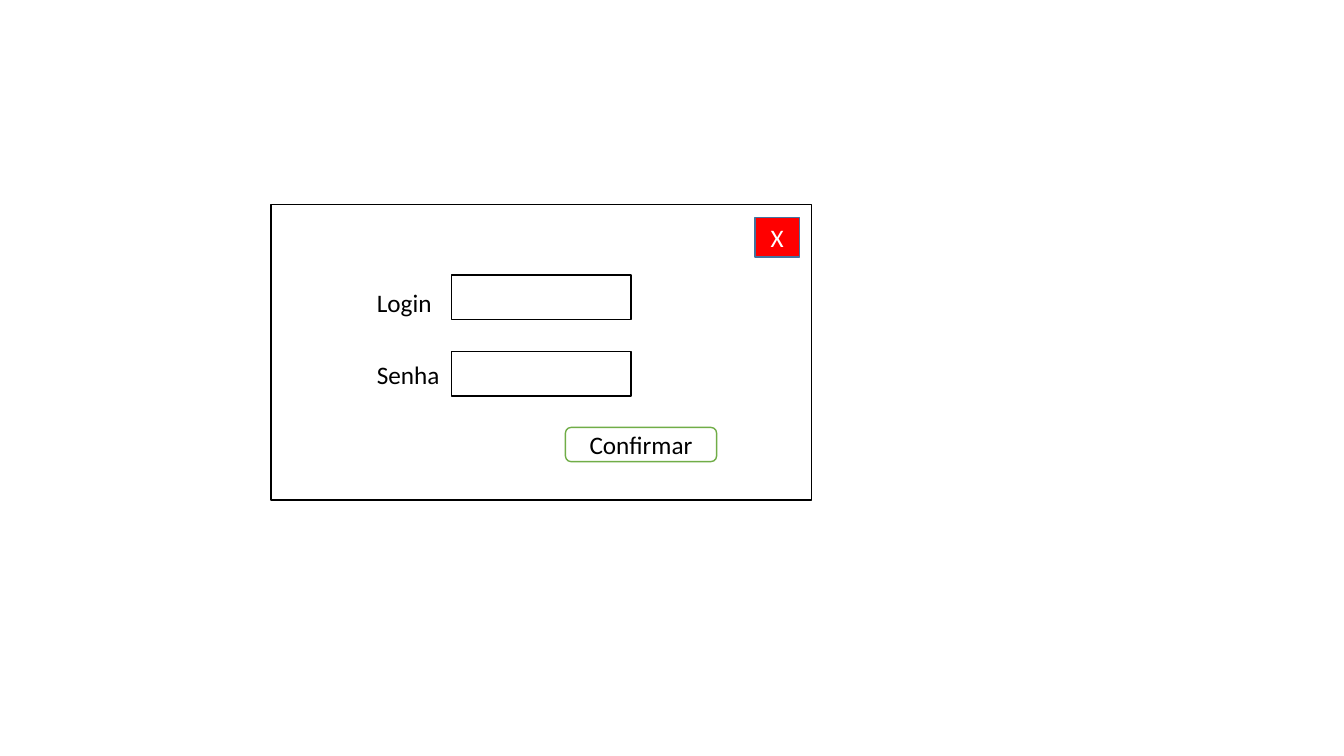
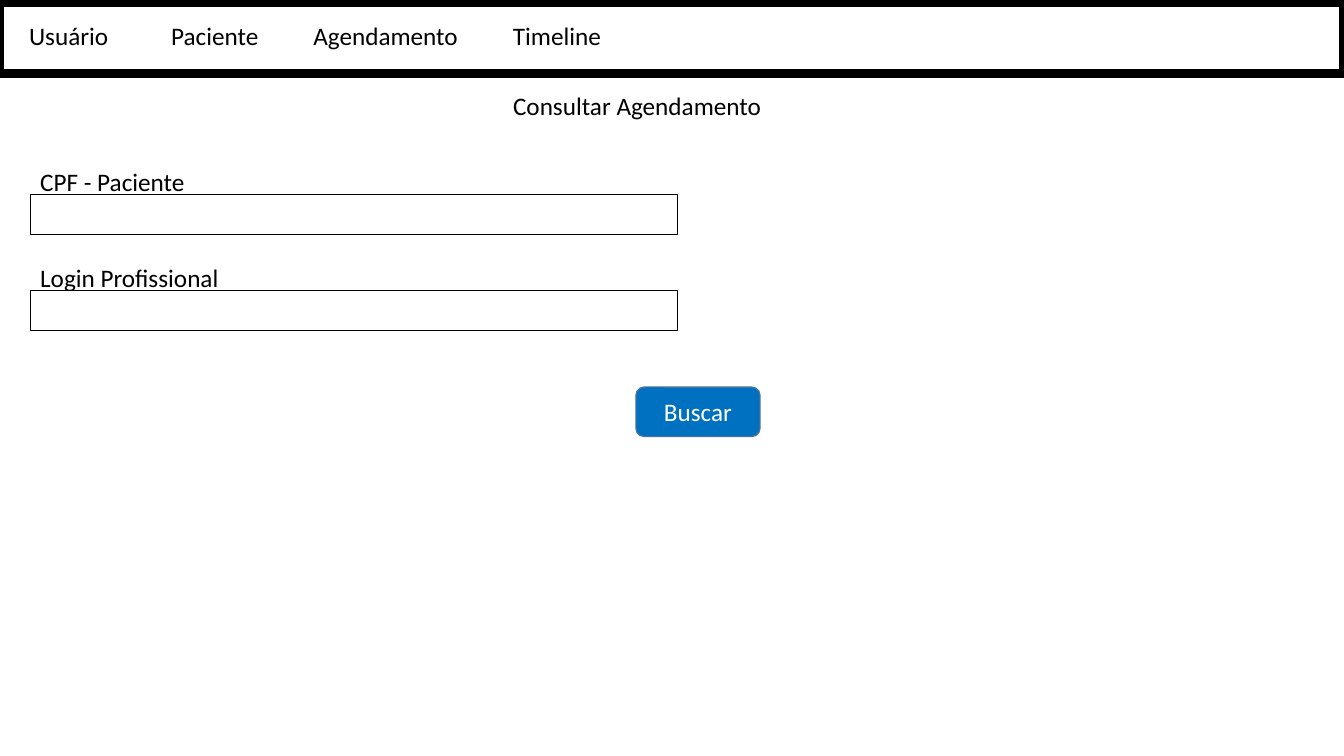
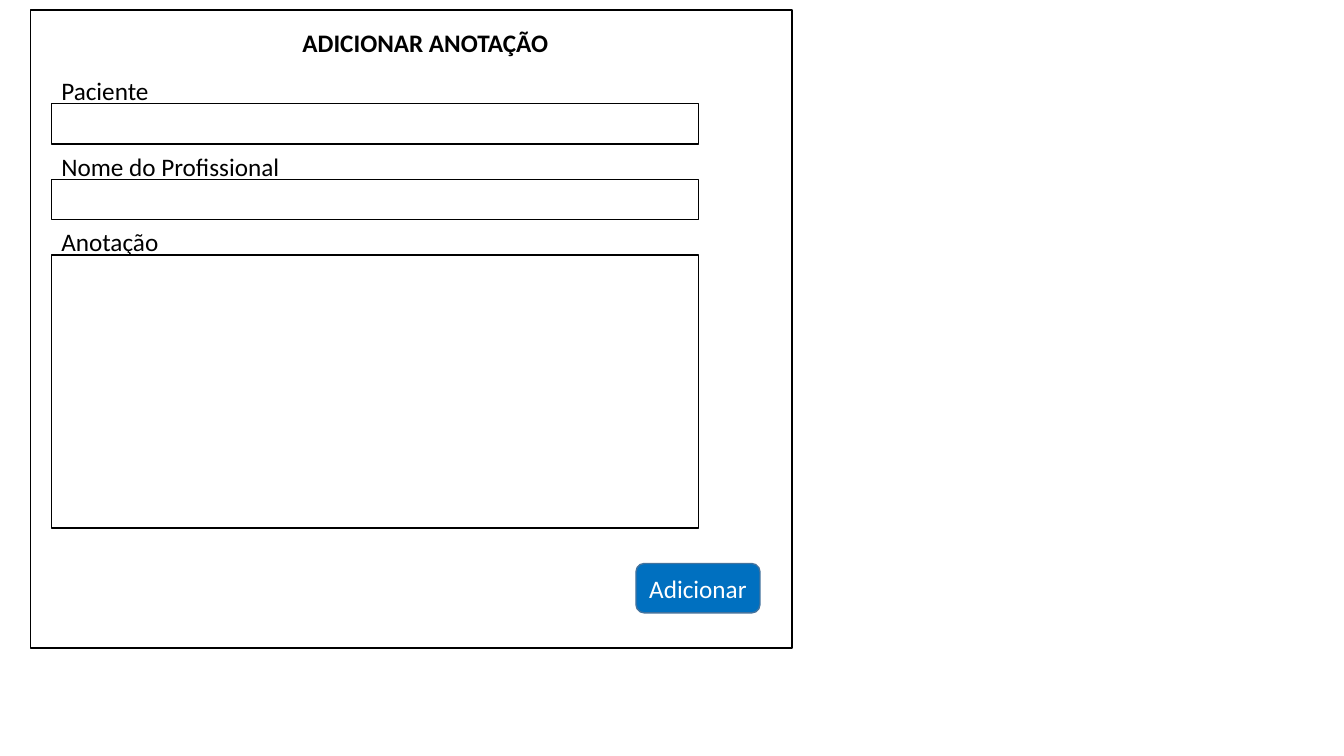
from dataclasses import dataclass

from pptx import Presentation
from pptx.dml.color import RGBColor
from pptx.enum.shapes import MSO_SHAPE as Preset
from pptx.enum.text import MSO_ANCHOR as Anchor, MSO_AUTO_SIZE as AutoSize, PP_ALIGN as Align
from pptx.util import Emu, Pt

PX = 9144  # one px is a hundredth of an inch
PAGE_W, PAGE_H = Emu(12192000), Emu(6858000)
TITLE_ONLY, BLANK = 5, 6

FONT, SIZE = "Calibri", Pt(18)
BLACK = RGBColor(0x00, 0x00, 0x00)
WHITE = RGBColor(0xFF, 0xFF, 0xFF)
RED = RGBColor(0xFF, 0x00, 0x00)
GREEN = RGBColor(0x70, 0xAD, 0x47)
BLUE = RGBColor(0x00, 0x70, 0xC0)
STEEL = RGBColor(0x43, 0x73, 0x9E)

LABEL_H = 40
LABEL_RISE = 33  # label top above its field
FIELD_W, FIELD_H = 642, 40


@dataclass(frozen=True)
class Box:
    left: int
    top: int
    width: int
    height: int


@dataclass(frozen=True)
class Label:
    text: str
    left: int
    top: int
    width: int


@dataclass(frozen=True)
class Field:
    label: str
    label_width: int
    height: int = FIELD_H


@dataclass(frozen=True)
class Button:
    text: str
    box: Box
    fill: RGBColor = BLUE
    line: RGBColor = STEEL
    color: RGBColor = WHITE
    preset: Preset = Preset.ROUNDED_RECTANGLE


MENU = (
    Label("Usuário", 19, 15, 99),
    Label("Paciente", 160, 15, 108),
    Label("Agendamento", 301, 15, 165),
    Label("Timeline", 499, 15, 109),
)


def place(shape, box: Box) -> None:
    shape.left, shape.top = Emu(box.left * PX), Emu(box.top * PX)
    shape.width, shape.height = Emu(box.width * PX), Emu(box.height * PX)


def write(shape, text: str, color: RGBColor = BLACK, bold: bool = False,
          align: Align = Align.LEFT, anchor: Anchor = Anchor.TOP) -> None:
    frame = shape.text_frame
    frame.text = text
    frame.vertical_anchor = anchor
    para = frame.paragraphs[0]
    para.alignment = align
    font = para.runs[0].font
    font.name, font.size, font.bold = FONT, SIZE, bold
    font.color.rgb = color


def fit_to_text(shape) -> None:
    shape.text_frame.word_wrap = False
    shape.text_frame.auto_size = AutoSize.SHAPE_TO_FIT_TEXT


def add_panel(page, box: Box, fill: RGBColor = WHITE, line: RGBColor = BLACK,
              weight: int = 1, preset: Preset = Preset.RECTANGLE):
    shape = page.shapes.add_shape(preset, 0, 0, 0, 0)
    place(shape, box)
    shape.shadow.inherit = False
    shape.fill.solid()
    shape.fill.fore_color.rgb = fill
    shape.line.color.rgb = line
    shape.line.width = Pt(weight)
    return shape


def add_label(page, label: Label) -> None:
    shape = page.shapes.add_textbox(0, 0, 0, 0)
    place(shape, Box(label.left, label.top, label.width, LABEL_H))
    write(shape, label.text)
    fit_to_text(shape)


def add_button(page, button: Button) -> None:
    shape = add_panel(page, button.box, button.fill, button.line, preset=button.preset)
    write(shape, button.text, button.color, align=Align.CENTER, anchor=Anchor.MIDDLE)


def add_form(page, left: int, top: int, pitch: int, fields: tuple[Field, ...]) -> None:
    """Stack labelled fields; each field overlaps the foot of its label."""
    for row, field in enumerate(fields):
        y = top + row * pitch
        add_label(page, Label(field.label, left, y - LABEL_RISE, field.label_width))
        add_panel(page, Box(left, y, FIELD_W, field.height))


def set_title(page, label: Label, bold: bool = False) -> None:
    title = page.shapes.title
    place(title, Box(label.left, label.top, label.width, LABEL_H))
    write(title, label.text, bold=bold)
    fit_to_text(title)
    page.shapes.element.append(title.element)  # in front of the panels


def add_page(deck, layout: int):
    return deck.slides.add_slide(deck.slide_layouts[layout])


def build_login(deck) -> None:
    page = add_page(deck, BLANK)
    add_panel(page, Box(269, 203, 536, 293))
    for top in (273, 349):
        add_panel(page, Box(448, top, 178, 44))
    add_label(page, Label("Login", 364, 280, 75))
    add_label(page, Label("Senha", 364, 352, 83))
    add_button(page, Button("Confirmar", Box(561, 424, 150, 34), WHITE, GREEN, BLACK))
    add_button(page, Button("X", Box(749, 216, 44, 39), RED, preset=Preset.RECTANGLE))


def build_search(deck) -> None:
    page = add_page(deck, TITLE_ONLY)
    # Menu bar
    add_panel(page, Box(0, 3, 1333, 70), weight=6)
    for item in MENU:
        add_label(page, item)
    # Search form
    set_title(page, Label("Consultar Agendamento", 499, 85, 269))
    add_form(page, 30, 193, 95, (Field("CPF - Paciente", 165),
                                 Field("Login Profissional", 199)))
    add_button(page, Button("Buscar", Box(631, 384, 123, 49)))


def build_note(deck) -> None:
    page = add_page(deck, TITLE_ONLY)
    add_panel(page, Box(30, 10, 756, 633))
    add_form(page, 51, 103, 75, (Field("Paciente", 108),
                                 Field("Nome do Profissional", 239),
                                 Field("Anotação", 117, 271)))
    add_button(page, Button("Adicionar", Box(631, 559, 123, 49)))
    set_title(page, Label("ADICIONAR ANOTAÇÃO", 290, 22, 266), bold=True)


def main() -> None:
    deck = Presentation()
    deck.slide_width, deck.slide_height = PAGE_W, PAGE_H
    for build in (build_login, build_search, build_note):
        build(deck)
    deck.save("out.pptx")


if __name__ == "__main__":
    main()
